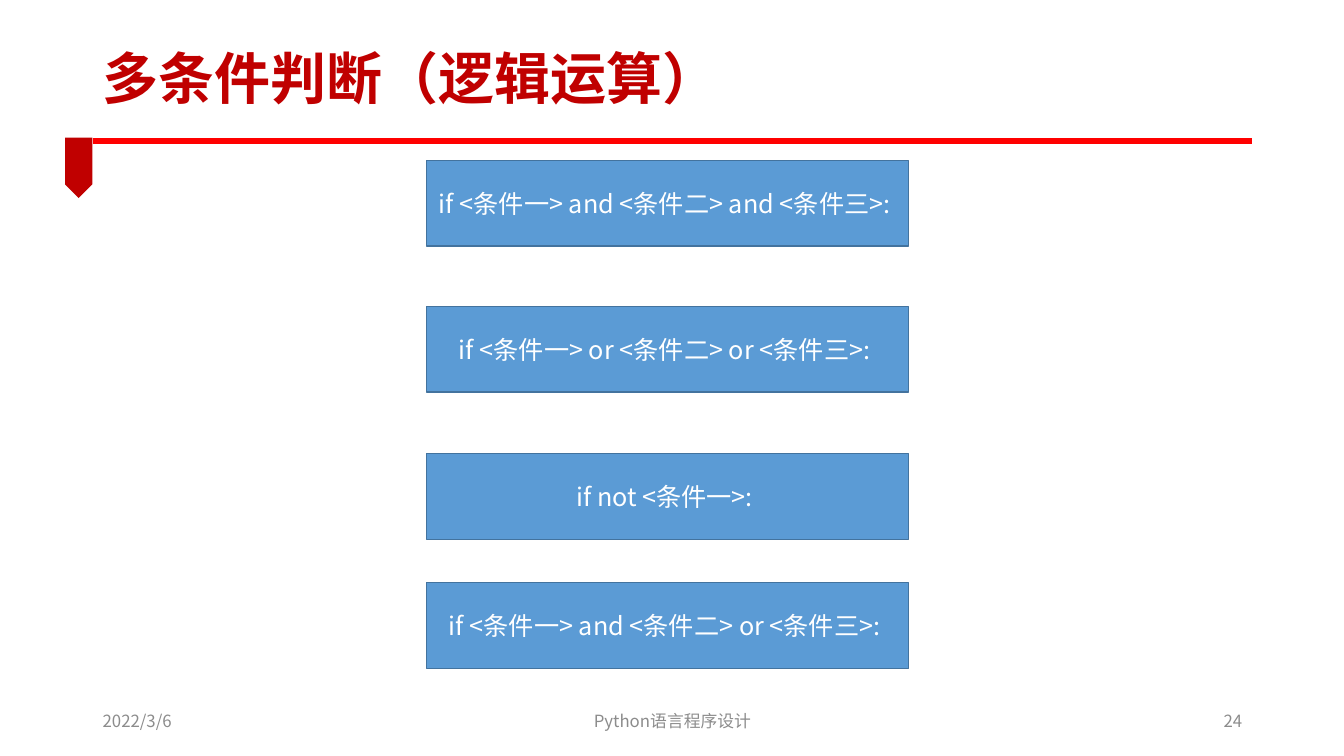
"""Build the slide on conditions joined by logical operators."""
from lxml import etree
from pptx import Presentation
from pptx.dml.color import RGBColor
from pptx.enum.shapes import MSO_CONNECTOR, MSO_SHAPE
from pptx.enum.text import MSO_ANCHOR, PP_ALIGN
from pptx.oxml.ns import qn
from pptx.util import Inches, Pt

LEFT, CENTER, RIGHT = PP_ALIGN.LEFT, PP_ALIGN.CENTER, PP_ALIGN.RIGHT
MIDDLE = MSO_ANCHOR.MIDDLE
RECTANGLE, PENTAGON = MSO_SHAPE.RECTANGLE, MSO_SHAPE.PENTAGON
STRAIGHT = MSO_CONNECTOR.STRAIGHT
FONT = "Noto Sans CJK SC"


def color(value):
    return RGBColor.from_string(value)


def write(box, text, size, ink, align, bold=False):
    frame = box.text_frame
    frame.text = text
    frame.word_wrap = True
    frame.vertical_anchor = MIDDLE
    para = frame.paragraphs[0]
    para.alignment = align
    span = para.runs[0]
    span.font.name = FONT
    span.font.size = Pt(size)
    span.font.bold = bold
    span.font.color.rgb = color(ink)
    east_asian = etree.Element(qn("a:ea"), typeface=FONT)
    span.font._element.find(qn("a:latin")).addnext(east_asian)
    return para


deck = Presentation()
deck.slide_width = Inches(13.33)
deck.slide_height = Inches(7.5)
page = deck.slides.add_slide(deck.slide_layouts[6])

rule = page.shapes.add_connector(
    STRAIGHT, Inches(0.92), Inches(1.4), Inches(12.42), Inches(1.4))
rule.line.color.rgb = color("FF0000")
rule.line.width = Pt(4.5)
etree.SubElement(rule._element.spPr, qn("a:effectLst"))

ribbon = page.shapes.add_shape(
    PENTAGON, Inches(0.48), Inches(1.53), Inches(0.6), Inches(0.27))
ribbon.rotation = 90
ribbon.shadow.inherit = False
ribbon.fill.solid()
ribbon.fill.fore_color.rgb = color("C00000")
ribbon.line.fill.background()

footers = [
    (0.92, 3, "2022/3/6", LEFT),
    (4.42, 4.5, "Python语言程序设计", CENTER),
    (9.42, 3, "24", RIGHT),
]
for left, width, text, align in footers:
    footer = page.shapes.add_textbox(
        Inches(left), Inches(6.95), Inches(width), Inches(0.4))
    write(footer, text, 12, "8C8C8C", align)

title = page.shapes.add_textbox(
    Inches(0.92), Inches(0.35), Inches(8.87), Inches(0.92))
heading = write(title, "多条件判断（逻辑运算）", 40, "C00000", LEFT, bold=True)
heading.line_spacing = 0.9

conditions = [
    (1.59, "if <条件一> and <条件二> and <条件三>: "),
    (3.04, "if <条件一> or <条件二> or <条件三>: "),
    (4.5, "if not <条件一>: "),
    (5.78, "if <条件一> and <条件二> or <条件三>: "),
]
for top, text in conditions:
    box = page.shapes.add_shape(
        RECTANGLE, Inches(4.23), Inches(top), Inches(4.78), Inches(0.85))
    box.shadow.inherit = False
    box.fill.solid()
    box.fill.fore_color.rgb = color("5B9BD5")
    box.line.color.rgb = color("43739E")
    box.line.width = Pt(1)
    write(box, text, 18, "FFFFFF", CENTER)

deck.save("out.pptx")
